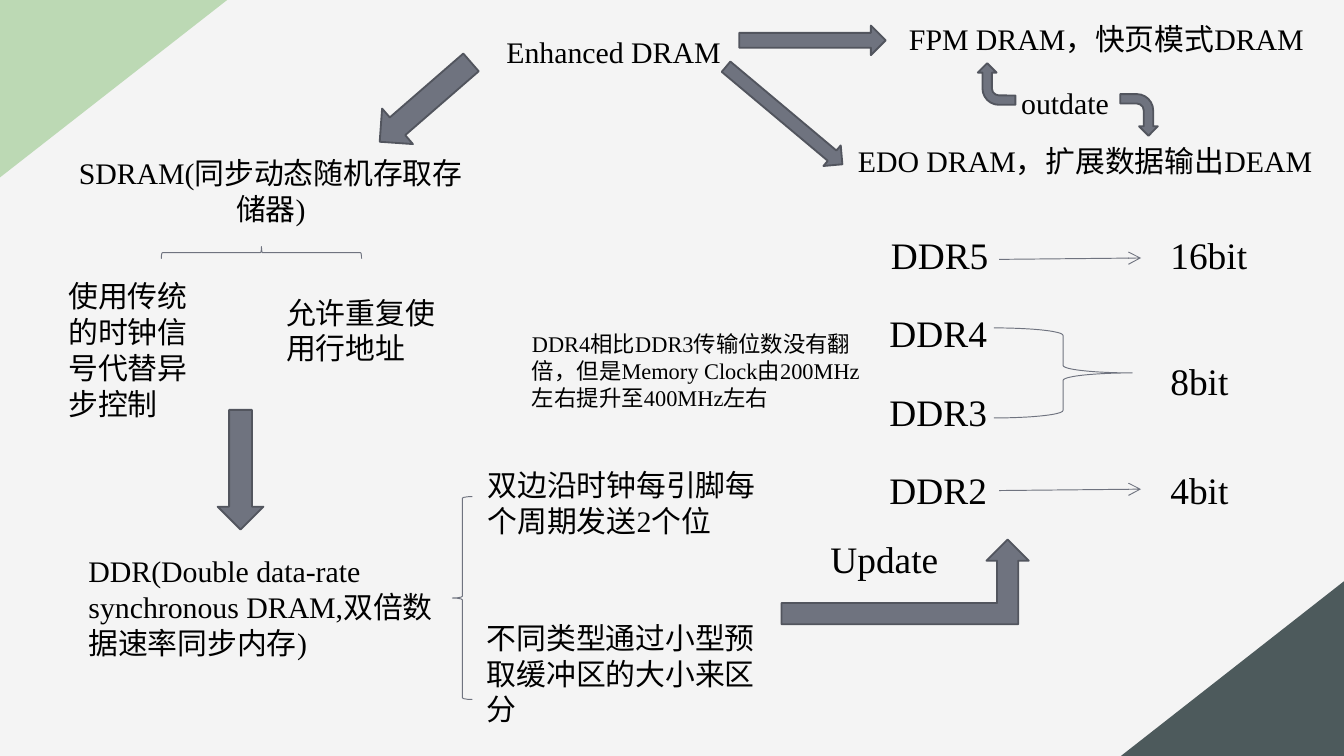
from dataclasses import dataclass

from lxml import etree
from pptx import Presentation
from pptx.dml.color import RGBColor
from pptx.enum.shapes import MSO_CONNECTOR, MSO_SHAPE
from pptx.enum.text import MSO_ANCHOR, MSO_AUTO_SIZE, PP_ALIGN
from pptx.oxml.ns import qn
from pptx.util import Pt

PX = 4572
LEFT, CENTER = PP_ALIGN.LEFT, PP_ALIGN.CENTER
TOP = MSO_ANCHOR.TOP
NO_FIT = MSO_AUTO_SIZE.NONE
STRAIGHT = MSO_CONNECTOR.STRAIGHT
TRIANGLE = MSO_SHAPE.RIGHT_TRIANGLE
DOWN, RIGHT = MSO_SHAPE.DOWN_ARROW, MSO_SHAPE.RIGHT_ARROW
BENT, BENT_UP = MSO_SHAPE.BENT_ARROW, MSO_SHAPE.BENT_UP_ARROW
LEFT_BRACE, RIGHT_BRACE = MSO_SHAPE.LEFT_BRACE, MSO_SHAPE.RIGHT_BRACE


@dataclass(frozen=True)
class Theme:
    background: RGBColor = RGBColor.from_string("F4F4F4")
    green: RGBColor = RGBColor.from_string("BCD9B4")
    slate: RGBColor = RGBColor.from_string("4D5A5C")
    arrow: RGBColor = RGBColor.from_string("6F737F")
    outline: RGBColor = RGBColor.from_string("52555E")
    text: RGBColor = RGBColor.from_string("000000")
    font: str = "Times New Roman"
    small: int = 12
    body: int = 16
    large: int = 20


theme = Theme()


def write_text(shape, text, size, alignment=LEFT):
    frame = shape.text_frame
    frame.text = text
    frame.word_wrap = True
    frame.auto_size = NO_FIT
    frame.vertical_anchor = TOP
    paragraph = frame.paragraphs[0]
    paragraph.alignment = alignment
    for run in paragraph.runs:
        run.font.name = theme.font
        run.font.size = Pt(size)
        run.font.color.rgb = theme.text


def add_preset(preset, box, rotation):
    shape = slide.shapes.add_shape(preset, *(value * PX for value in box))
    shape.rotation = rotation
    shape.shadow.inherit = False
    return shape


presentation = Presentation()
presentation.slide_width = 2000 * PX
presentation.slide_height = 1125 * PX
slide = presentation.slides.add_slide(presentation.slide_layouts[5])
slide.background.fill.solid()
slide.background.fill.fore_color.rgb = theme.background

corners = [
    ((37, -37, 264, 338), 90, theme.green),
    ((1704, 829, 260, 332), 270, theme.slate),
]
for box, rotation, color in corners:
    corner = add_preset(TRIANGLE, box, rotation)
    corner.fill.solid()
    corner.fill.fore_color.rgb = color
    corner.line.fill.background()

title = slide.shapes.title
title.left, title.top, title.width, title.height = (
    value * PX for value in (526, 40, 774, 74)
)
write_text(title, "Enhanced DRAM", theme.body, CENTER)

labels = [
    ("SDRAM(同步动态随机存取存储器)", (82, 220, 642, 128), theme.body, CENTER),
    ("使用传统的时钟信号代替异步控制", (82, 404, 242, 218), theme.body, LEFT),
    ("允许重复使用行地址", (406, 428, 282, 218), theme.body, LEFT),
    ("DDR(Double data-rate synchronous DRAM,双倍数据速率同步内存)",
     (112, 813, 556, 182), theme.body, LEFT),
    ("双边沿时钟每引脚每个周期发送2个位", (706, 685, 448, 128), theme.body, LEFT),
    ("不同类型通过小型预取缓冲区的大小来区分", (705, 912, 448, 182), theme.body, LEFT),
    ("Update", (1216, 788, 262, 96), theme.large, LEFT),
    ("DDR4相比DDR3传输位数没有翻倍，但是Memory Clock由200MHz左右提升至400MHz左右",
     (772, 482, 534, 142), theme.small, LEFT),
    ("FPM DRAM，快页模式DRAM", (1333, 21, 654, 74), theme.body, LEFT),
    ("EDO DRAM，扩展数据输出DEAM", (1257, 202, 720, 74), theme.body, LEFT),
    ("outdate", (1500, 116, 320, 74), theme.body, LEFT),
    ("16bit", (1722, 336, 194, 88), theme.large, LEFT),
    ("8bit", (1722, 523, 194, 88), theme.large, LEFT),
    ("4bit", (1722, 686, 194, 88), theme.large, LEFT),
    ("DDR5", (1306, 336, 394, 88), theme.large, LEFT),
]
for row, generation in enumerate(("DDR4", "DDR3", "DDR2")):
    box = (1304, 452 + row * 117, 394, 88)
    labels.append((generation, box, theme.large, LEFT))
for text, box, size, alignment in labels:
    label = slide.shapes.add_textbox(*(value * PX for value in box))
    write_text(label, text, size, alignment)

block_arrows = [
    (DOWN, (598, 62, 70, 180), 49),
    (DOWN, (324, 610, 68, 178), 0),
    (BENT_UP, (1163, 803, 368, 126), 0),
    (RIGHT, (1100, 38, 218, 44), 0),
    (RIGHT, (1054, 152, 226, 40), 40),
    (BENT, (1664, 143, 62, 56), 90),
    (BENT, (1452, 97, 62, 56), 270),
]
for preset, box, rotation in block_arrows:
    arrow = add_preset(preset, box, rotation)
    arrow.fill.solid()
    arrow.fill.fore_color.rgb = theme.arrow
    arrow.line.color.rgb = theme.outline
    arrow.line.width = Pt(1)

braces = [
    (LEFT_BRACE, (380, 227, 18, 298), 90),
    (LEFT_BRACE, (673, 739, 30, 302), 0),
    (RIGHT_BRACE, (1479, 488, 206, 134), 0),
]
for preset, box, rotation in braces:
    brace = add_preset(preset, box, rotation)
    brace.fill.background()
    brace.line.color.rgb = theme.arrow
    brace.line.width = Pt(0.5)

for start_y in (386, 730):
    connector = slide.shapes.add_connector(
        STRAIGHT, 1487 * PX, start_y * PX, 1698 * PX, (start_y - 2) * PX
    )
    connector.line.color.rgb = theme.arrow
    connector.line.width = Pt(0.5)
    properties = connector._element.spPr
    etree.SubElement(properties.find(qn("a:ln")), qn("a:tailEnd"), type="arrow")
    etree.SubElement(properties, qn("a:effectLst"))

presentation.save("out.pptx")
